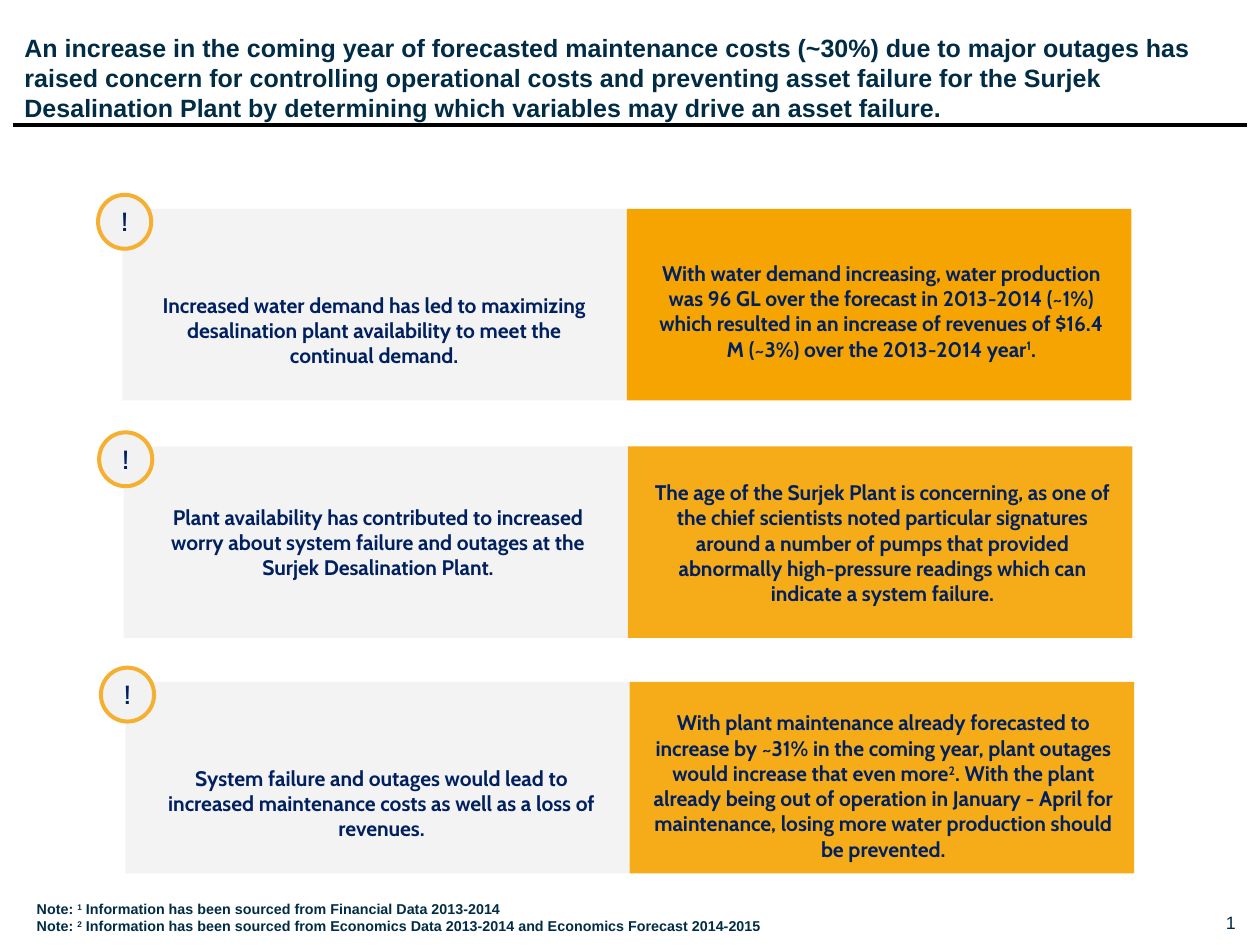
from lxml import etree
from pptx import Presentation
from pptx import util as u
from pptx.dml.color import RGBColor
from pptx.enum import shapes, text
from pptx.oxml import ns

Pt = u.Pt
INK = {"head": "002C46", "body": "002060", "grey": "F2F2F2",
       "gold": "F6A401", "ring": "F5AF31", "rule": "000000"}
SHAPE = shapes.MSO_SHAPE
ALIGN = text.PP_ALIGN
PAD = (7.2, 3.6)


def tint(key):
    return RGBColor.from_string(INK[key])


def write(shape, lines, size, font, key, bold=True, align=ALIGN.LEFT, pad=PAD,
          anchor=text.MSO_ANCHOR.TOP):
    """Fill a frame; text between two ^ marks is raised."""
    frame = shape.text_frame
    frame.word_wrap = True
    frame.vertical_anchor = anchor
    frame.margin_left = frame.margin_right = Pt(pad[0])
    frame.margin_top = frame.margin_bottom = Pt(pad[1])
    for i, line in enumerate(lines):
        para = frame.paragraphs[0] if i == 0 else frame.add_paragraph()
        para.alignment = align
        for j, part in enumerate(line.split("^")):
            run = para.add_run()
            run.text = part
            run.font.size, run.font.name, run.font.bold = Pt(size), font, bold
            run.font.color.rgb = tint(key)
            if j % 2:
                run._r.get_or_add_rPr().set("baseline", "30000")


def label(slide, box, lines, *style, **more):
    write(slide.shapes.add_textbox(*map(Pt, box)), lines, *style, **more)


def block(slide, kind, box, key, alpha=100):
    shape = slide.shapes.add_shape(kind, *map(Pt, box))
    shape.shadow.inherit = False
    shape.fill.solid()
    shape.fill.fore_color.rgb = tint(key)
    shape.line.fill.background()
    if alpha < 100:
        clr = shape.fill._xPr.find(".//" + ns.qn("a:srgbClr"))
        etree.SubElement(clr, ns.qn("a:alpha")).set("val", str(alpha * 1000))
    return shape


def header(slide, box, title):
    x, y, w, h = box
    label(slide, (x + 6.5, y, w - 12.2, h), [title], 14, "Arial", "head", pad=(0, 0))
    # Rule under the title
    base = y + h + 0.7
    rule = slide.shapes.add_connector(shapes.MSO_CONNECTOR.STRAIGHT,
                                      Pt(x), Pt(base), Pt(x + w), Pt(base))
    rule.line.color.rgb = tint("rule")
    rule.line.width = Pt(2)
    etree.SubElement(rule._element.spPr, ns.qn("a:effectLst"))


def issue(slide, box, alpha, left, right):
    """Grey cause and gold effect side by side, with a badge on the corner."""
    x, y, w, h = box
    half = w / 2
    body = (11.8, "Cabin", "body")
    # Panels
    block(slide, SHAPE.RECTANGLE, (x, y, half, h), "grey", 85)
    block(slide, SHAPE.RECTANGLE, (x + half, y, half, h), "gold", alpha)
    # Texts, each with its own inset and drop
    for start, (inset, drop, words) in ((x, left), (x + half, right)):
        label(slide, (start + inset, y + drop, 272, h - drop), [words], *body,
              align=ALIGN.CENTER)
    # Badge
    badge = block(slide, SHAPE.OVAL, (x - 13.7, y - 7.9, 29.8, 30.2), "grey")
    badge.line.color.rgb = tint("ring")
    badge.line.width = Pt(2.25)
    write(badge, ["!"], 13.7, "Cabin", "body", align=ALIGN.CENTER,
          anchor=text.MSO_ANCHOR.MIDDLE)


def footer(slide, box, notes):
    x, y, w, h = box
    label(slide, (x, y, 487, h), notes, 8, "Arial", "head")
    # Page number
    label(slide, (x + w - 30, y + 10, 30, 12.2), ["1"], 10, "Arial", "head",
          bold=False, align=ALIGN.RIGHT, pad=(0, 0), anchor=text.MSO_ANCHOR.MIDDLE)


ISSUES = [
    (68.6, 117, 100,
     (5, 43.2, "Increased water demand has led to maximizing desalination plant "
      "availability to meet the continual demand."),
     (6.5, 25.2, "With water demand increasing, water production was 96 GL over the "
      "forecast in 2013-2014 (~1%) which resulted in an increase of revenues of "
      "$16.4 M (~3%) over the 2013-2014 year^1^.")),
    (69.2, 250, 90,
     (6.5, 28.8, "Plant availability has contributed to increased worry about system "
      "failure and outages at the Surjek Desalination Plant."),
     (6.5, 15, "The age of the Surjek Plant is concerning, as one of the chief "
      "scientists noted particular signatures around a number of pumps that provided "
      "abnormally high-pressure readings which can indicate a system failure.")),
    (70.2, 381.8, 90,
     (7.5, 43.2, "System failure and outages would lead to increased maintenance "
      "costs as well as a loss of revenues."),
     (6, 12.2, "With plant maintenance already forecasted to increase by ~31% in the "
      "coming year, plant outages would increase that even more^2^. With the plant "
      "already being out of operation in January - April for maintenance, losing more "
      "water production should be prevented.")),
]

deck = Presentation()
deck.slide_width, deck.slide_height = Pt(705.6), Pt(529.2)
slide = deck.slides.add_slide(deck.slide_layouts[6])

header(slide, (7.2, 18.2, 691.2, 51),
       "An increase in the coming year of forecasted maintenance costs (~30%) due to "
       "major outages has raised concern for controlling operational costs and "
       "preventing asset failure for the Surjek Desalination Plant by determining "
       "which variables may drive an asset failure.")
for x, y, alpha, left, right in ISSUES:
    issue(slide, (x, y, 565, 107.3), alpha, left, right)
footer(slide, (13.5, 500.5, 678.5, 28),
       ["Note: ^1^ Information has been sourced from Financial Data 2013-2014",
        "Note: ^2^ Information has been sourced from Economics Data 2013-2014 and "
        "Economics Forecast 2014-2015"])

deck.save("out.pptx")
